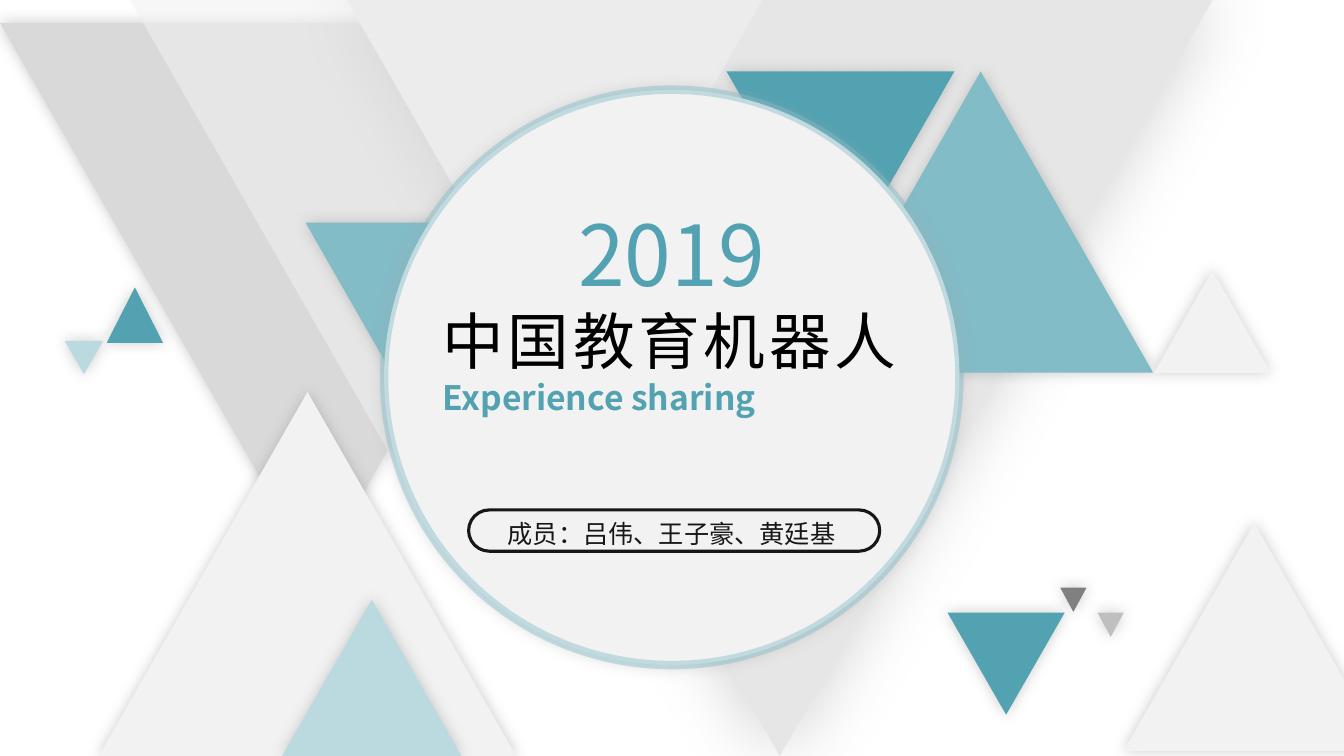
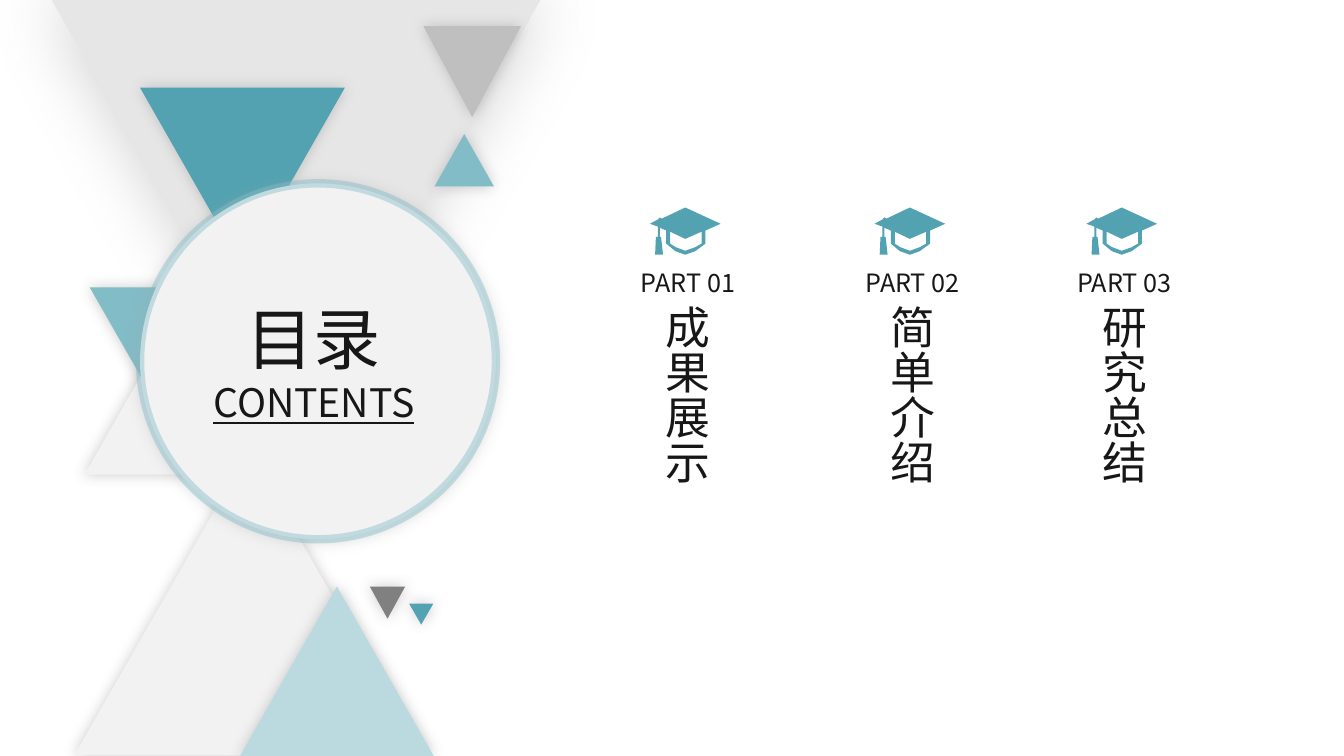
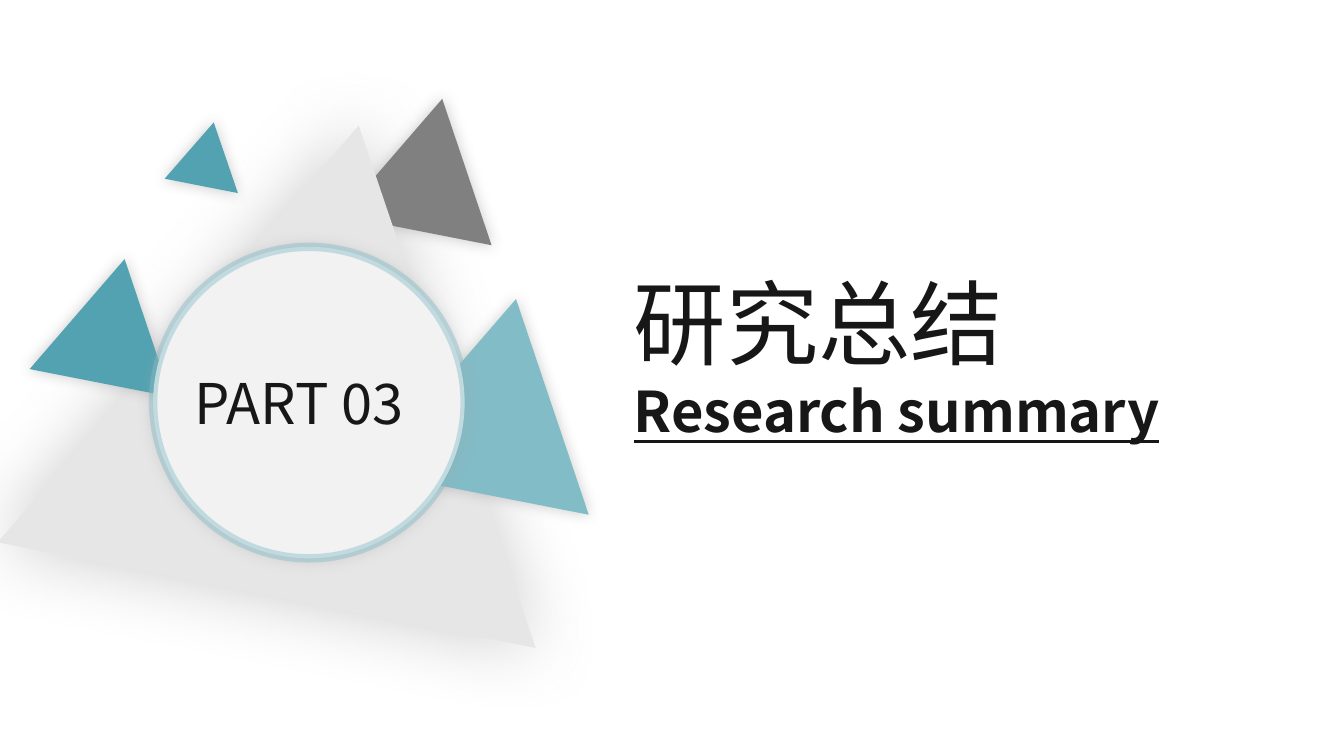
"""Builds a cover, a contents page and a section page in a teal triangle style."""
import pptx
import pptx.dml.color
import pptx.enum.shapes
import pptx.enum.text
import pptx.oxml
import pptx.oxml.ns
import pptx.util

Cm = pptx.util.Cm
Pt = pptx.util.Pt
RGBColor = pptx.dml.color.RGBColor
MSO_SHAPE = pptx.enum.shapes.MSO_SHAPE
CENTER = pptx.enum.text.PP_ALIGN.CENTER
JUSTIFY = pptx.enum.text.PP_ALIGN.JUSTIFY

TEAL = RGBColor(0x52, 0xA2, 0xB2)
MID_TEAL = RGBColor(0x82, 0xBC, 0xC7)
PALE_TEAL = RGBColor(0xBA, 0xDA, 0xE0)
PAPER = RGBColor(0xF2, 0xF2, 0xF2)
MIST = RGBColor(0xE7, 0xE6, 0xE6)
LIGHT_GRAY = RGBColor(0xD9, 0xD9, 0xD9)
SILVER = RGBColor(0xBF, 0xBF, 0xBF)
SHADE = RGBColor(0xA6, 0xA6, 0xA6)
GRAY = RGBColor(0x80, 0x80, 0x80)
INK = RGBColor(0x18, 0x17, 0x17)
BLACK = RGBColor(0, 0, 0)
FONT = "Noto Sans CJK SC"

UP, DOWN, TILT = 0, 180, 11.1
SOFT, WIDE = 10, 53

COVER_TRIANGLES = [
    (0, 0.58, 15.93, 13.92, DOWN, LIGHT_GRAY, SOFT),
    (8.74, 0, 21.82, 19.05, DOWN, MIST, WIDE),
    (2.49, 9.88, 10.52, 9.17, UP, PAPER, SOFT),
    (7.11, 15.11, 4.52, 3.94, UP, PALE_TEAL, SOFT),
    (3.28, 0, 15.93, 13.92, DOWN, PAPER, None, 54),
    (20.37, 1.8, 8.69, 7.59, UP, MID_TEAL, SOFT),
    (7.7, 5.61, 8.99, 7.85, DOWN, MID_TEAL, SOFT),
    (23.88, 15.44, 2.95, 2.57, DOWN, TEAL, SOFT),
    (29.08, 6.81, 2.95, 2.59, UP, PAPER, SOFT),
    (18.31, 1.8, 5.74, 5, DOWN, TEAL, SOFT),
    (2.69, 7.24, 1.42, 1.4, UP, TEAL, SOFT),
    (1.63, 8.59, 0.97, 0.84, DOWN, PALE_TEAL, SOFT),
    (26.72, 14.81, 0.66, 0.61, DOWN, GRAY, SOFT),
    (27.66, 15.44, 0.66, 0.61, DOWN, SILVER, SOFT),
    (28.32, 13.18, 6.58, 5.74, UP, PAPER, SOFT),
]
CONTENTS_TRIANGLES = [
    (1.3, 0, 12.32, 10.77, DOWN, MIST, WIDE),
    (1.88, 11.35, 8.79, 7.67, UP, PAPER, SOFT),
    (6.05, 14.78, 4.88, 4.27, UP, PALE_TEAL, SOFT),
    (10.95, 3.38, 1.5, 1.32, UP, MID_TEAL, SOFT),
    (2.26, 7.24, 3.2, 2.79, DOWN, MID_TEAL, SOFT),
    (10.31, 15.21, 0.61, 0.53, DOWN, TEAL, SOFT),
    (3.53, 2.21, 5.16, 4.52, DOWN, TEAL, SOFT),
    (9.32, 14.78, 0.89, 0.81, DOWN, GRAY, SOFT),
    (10.67, 0.66, 2.46, 2.29, DOWN, SILVER, SOFT),
    (2.13, 8.71, 3.71, 3.25, UP, PAPER, SOFT),
]
SECTION_TRIANGLES = [
    (8.89, 2.46, 3.86, 3.38, TILT, GRAY, SOFT),
    (0.97, 3.05, 13.82, 12.06, TILT, MIST, WIDE),
    (9.68, 7.49, 5.69, 4.98, TILT, MID_TEAL, SOFT),
    (4.29, 3.07, 1.88, 1.63, TILT, TEAL, SOFT),
    (1.02, 6.5, 3.63, 3.18, TILT, TEAL, SOFT),
]
CAP_OUTLINE = [
    (178, 41), (89, 0), (30, 28), (25, 25), (20, 30), (0, 41), (20, 48),
    (20, 74), (15, 74), (13, 119), (33, 119), (28, 74), (25, 74), (25, 51),
    (41, 58), (41, 91), (64, 110), (89, 119), (114, 110), (140, 91), (140, 58),
]
CAP_OPENING = [
    (130, 91), (114, 100), (89, 109), (65, 100), (51, 91), (51, 61), (89, 79),
    (130, 61),
]
ENTRIES = [
    (15.04, "PART 01", "成果展示"),
    (20.7, "PART 02", "简单介绍"),
    (26.04, "PART 03", "研究总结"),
]


class Deck:
    """Holds the shared style and the current slide."""

    def __init__(self):
        self.prs = pptx.Presentation()
        self.prs.slide_width, self.prs.slide_height = Cm(33.87), Cm(19.05)
        self.s = None

    def page(self, triangles):
        self.s = self.prs.slides.add_slide(self.prs.slide_layouts[6])
        for triangle in triangles:
            self.triangle(*triangle)

    def sub(self, parent, tag, **attrs):
        el = pptx.oxml.parse_xml(f"<a:{tag} {pptx.oxml.ns.nsdecls('a')}/>")
        for name, value in attrs.items():
            el.set(name, str(value))
        parent.append(el)
        return el

    def fade(self, sp, percent, holder="p:spPr"):
        color = sp._element.xpath(f"./{holder}/a:solidFill/a:srgbClr")[0]
        self.sub(color, "alpha", val=percent * 1000)

    def shadow(self, sp, color, blur):
        effects = sp._element.spPr.find(pptx.oxml.ns.qn("a:effectLst"))
        outer = self.sub(effects, "outerShdw", blurRad=Pt(blur), dist=0, dir=0,
                         algn="ctr", rotWithShape=0)
        self.sub(self.sub(outer, "srgbClr", val=color), "alpha", val=40000)

    def paint(self, sp, fill, line=None, weight=0):
        for target, color in ((sp.fill, fill), (sp.line.fill, line)):
            if color is None:
                target.background()
            else:
                target.solid()
                target.fore_color.rgb = color
        if line is not None:
            sp.line.width = Pt(weight)
        sp.shadow.inherit = False

    def shape(self, kind, x, y, w, h, fill=None, line=None, weight=0):
        sp = self.s.shapes.add_shape(kind, Cm(x), Cm(y), Cm(w), Cm(h))
        self.paint(sp, fill, line, weight)
        return sp

    def triangle(self, x, y, w, h, rotation, color, blur, opacity=None):
        sp = self.shape(MSO_SHAPE.ISOSCELES_TRIANGLE, x, y, w, h, color)
        sp.rotation = rotation
        if blur:
            self.shadow(sp, GRAY, blur)
        if opacity:
            self.fade(sp, opacity)

    def disc(self, x, y, size):
        sp = self.shape(MSO_SHAPE.OVAL, x, y, size, size, PAPER, MID_TEAL, 6)
        self.fade(sp, 43, "p:spPr/a:ln")
        self.shadow(sp, SHADE, SOFT)

    def pill(self, x, y, w, h):
        sp = self.shape(MSO_SHAPE.ROUNDED_RECTANGLE, x, y, w, h, None, INK, 2.25)
        sp.adjustments[0] = 0.5

    def text(self, x, y, w, h, *paragraphs, vertical=False):
        sp = self.s.shapes.add_textbox(Cm(x), Cm(y), Cm(w), Cm(h))
        tf = sp.text_frame
        tf.word_wrap = True
        tf.auto_size = pptx.enum.text.MSO_AUTO_SIZE.SHAPE_TO_FIT_TEXT
        if vertical:
            tf._txBody.bodyPr.set("vert", "eaVert")
        for i, (alignment, *lines) in enumerate(paragraphs):
            p = tf.add_paragraph() if i else tf.paragraphs[0]
            p.alignment = alignment
            for j, (words, size, color, *formats) in enumerate(lines):
                if j:
                    p.add_line_break()
                self.run(p, words, size, color, *formats)

    def run(self, p, words, size, color, formats=None):
        r = p.add_run()
        r.text = words
        values = {"name": FONT, "size": Pt(size), **(formats or {})}
        for name, value in values.items():
            setattr(r.font, name, value)
        r.font.color.rgb = color
        self.sub(r._r.get_or_add_rPr(), "ea", typeface=FONT)

    def cap(self, x, y):
        fb = self.s.shapes.build_freeform(*CAP_OUTLINE[0], scale=Cm(0.01))
        fb.add_line_segments(CAP_OUTLINE[1:])
        fb.move_to(*CAP_OPENING[0])
        fb.add_line_segments(CAP_OPENING[1:])
        self.paint(fb.convert_to_shape(Cm(x), Cm(y)), TEAL)

    def entry(self, x, label, title):
        self.text(x + 1.18, 7.44, 1.88, 5.38, (JUSTIFY, (title, 32, INK)),
                  vertical=True)
        self.text(x, 6.6, 4.6, 1.02, (CENTER, (label, 18, INK)))
        self.cap(x + 1.34, 5.23)


def main():
    deck = Deck()

    deck.page(COVER_TRIANGLES)
    deck.disc(9.68, 2.26, 14.5)
    deck.text(10.9, 4.98, 12.04, 5.74,
              (CENTER, ("2019", 60, TEAL)),
              (JUSTIFY, ("中国教育机器人", 44, BLACK),
               ("Experience sharing", 24, TEAL, {"bold": True})))
    deck.text(12.52, 12.93, 8.81, 1.02,
              (CENTER, ("成员：吕伟、王子豪、黄廷基", 18, INK)))
    deck.pill(11.81, 12.85, 10.36, 1.04)

    deck.page(CONTENTS_TRIANGLES)
    deck.disc(3.53, 4.62, 8.97)
    deck.text(4.9, 7.37, 6.02, 3.53,
              (CENTER, ("目录", 48, INK)),
              (CENTER, ("CONTENTS", 28, INK, {"underline": True})))
    for entry in ENTRIES:
        deck.entry(*entry)

    deck.page(SECTION_TRIANGLES)
    deck.disc(3.86, 6.22, 7.85)
    deck.text(3.35, 9.17, 8.36, 1.96, (CENTER, ("PART 03", 40, INK)))
    deck.text(15.72, 6.58, 16.38, 4.78,
              (JUSTIFY, ("研究总结", 66, INK)),
              (JUSTIFY, ("Research summary", 40, INK,
                         {"bold": True, "underline": True})))

    deck.prs.save("out.pptx")


if __name__ == "__main__":
    main()
